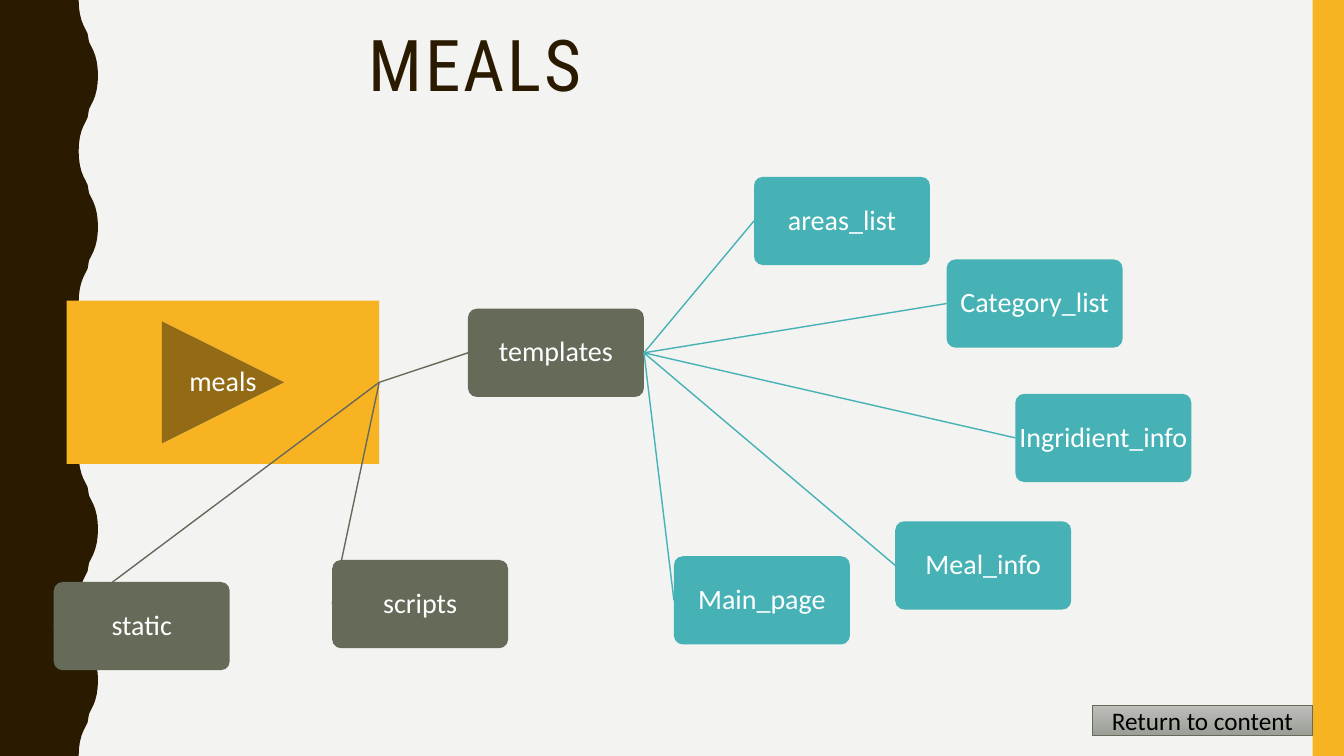
from pptx import Presentation
from pptx.dml.color import RGBColor
from pptx.enum.shapes import MSO_CONNECTOR, MSO_SHAPE
from pptx.enum.text import MSO_ANCHOR, MSO_AUTO_SIZE, PP_ALIGN
from pptx.oxml.ns import qn
from pptx.util import Pt
from lxml.etree import SubElement

BROWN = RGBColor(0x2A, 0x1A, 0x00)
AMBER = RGBColor(0xF8, 0xB3, 0x23)
OLIVE = RGBColor(0x65, 0x6A, 0x59)
TEAL = RGBColor(0x46, 0xB2, 0xB5)
PAPER = RGBColor(0xF3, 0xF3, 0xF2)
SILVER = RGBColor(0xBE, 0xBF, 0xBB)
GREY = RGBColor(0x9B, 0x9E, 0x96)
WHITE = RGBColor(0xFF, 0xFF, 0xFF)
BLACK = RGBColor(0x00, 0x00, 0x00)

WIDTH, HEIGHT = 960, 540
NODE_W, NODE_H = 125.7, 63
WAVE_CURVE = [(0, 0), (0.2, 5), (0.9, 10), (2, 14.4), (3.4, 18), (4.9, 21), (6.4, 24)]
ROOT = ("meals", (47.7, 214.8, 223.2, 116.6))
FOLDERS = [("templates", 334.3, 220.5), ("scripts", 237.3, 400), ("static", 38.4, 415.7)]
PAGES = [("areas_list", 538.6, 126.3), ("Main_page", 481.4, 397.3),
         ("Ingridient_info", 725.3, 281.3), ("Category_list", 676.2, 185.3),
         ("Meal_info", 639.5, 372.4)]


def write(shape, text, *, size=20, font="Calibri", color=WHITE, align=PP_ALIGN.CENTER,
          anchor=MSO_ANCHOR.MIDDLE, inset=(1, 1), line_spacing=0.9, tracking=0):
    """Put one formatted line of text in a shape."""
    frame = shape.text_frame
    frame.auto_size, frame.word_wrap = MSO_AUTO_SIZE.NONE, True
    frame.vertical_anchor = anchor
    frame.margin_left = frame.margin_right = Pt(inset[0])
    frame.margin_top = frame.margin_bottom = Pt(inset[1])
    paragraph = frame.paragraphs[0]
    paragraph.alignment, paragraph.line_spacing = align, line_spacing
    run = paragraph.add_run()
    run.text = text
    run.font.size, run.font.name, run.font.color.rgb = Pt(size), font, color
    if tracking:
        run._r.get_or_add_rPr().set("spc", str(tracking * 100))


def paint(shape, color):
    """Give a shape a flat fill with no outline or shadow."""
    shape.shadow.inherit = False
    shape.fill.solid()
    shape.fill.fore_color.rgb = color
    shape.line.fill.background()


def add_block(slide, kind, box, color):
    """Add a flat preset shape in the given box."""
    block = slide.shapes.add_shape(kind, *map(Pt, box))
    paint(block, color)
    return block


def add_wave(slide, box, wave_count=5):
    """Draw the side band whose right edge repeats one wave."""
    left, top, width, height = box
    depth, period = 13.8, height / wave_count
    rise = WAVE_CURVE + [(depth - x, period / 2 - y) for x, y in reversed(WAVE_CURVE)]
    wave = rise + [(x, period - y) for x, y in reversed(rise)]
    edge = [(left + width - depth + x, top + i * period + y)
            for i in range(wave_count) for x, y in wave]
    outline = slide.shapes.build_freeform(Pt(left), Pt(top), scale=1.0)
    outline.add_line_segments([(Pt(x), Pt(y)) for x, y in edge + [(left, top + height)]])
    paint(outline.convert_to_shape(), BROWN)


def add_title(slide, box, text):
    """Place and format the title placeholder."""
    title = slide.shapes.title
    title.left, title.top, title.width, title.height = map(Pt, box)
    write(title, text, size=51, font="Roboto Condensed", color=BROWN, align=PP_ALIGN.LEFT,
          anchor=MSO_ANCHOR.TOP, inset=(7.2, 3.6), tracking=2)


def add_branch(slide, start, end, color):
    """Draw a thin line between two points."""
    branch = slide.shapes.add_connector(MSO_CONNECTOR.STRAIGHT, *map(Pt, start + end))
    branch.line.color.rgb, branch.line.width = color, Pt(1)
    SubElement(branch._element.spPr, qn("a:effectLst"))


def right_middle(box):
    """Return the middle of a box's right side."""
    left, top, width, height = box
    return left + width, top + height / 2


def add_children(slide, parent_box, children, color):
    """Add child nodes, each joined to the right side of the parent."""
    for label, left, top in children:
        add_branch(slide, right_middle(parent_box), (left, top + NODE_H / 2), color)
        node = add_block(slide, MSO_SHAPE.ROUNDED_RECTANGLE, (left, top, NODE_W, NODE_H), color)
        node.adjustments[0] = 0.1
        write(node, label)


def add_tree(slide):
    """Draw the folder tree from root to pages."""
    label, root_box = ROOT
    root = add_block(slide, MSO_SHAPE.ACTION_BUTTON_FORWARD_OR_NEXT, root_box, AMBER)
    write(root, label)
    templates_box = (*FOLDERS[0][1:], NODE_W, NODE_H)
    add_children(slide, root_box, FOLDERS[:1], OLIVE)
    add_children(slide, templates_box, PAGES, TEAL)
    add_children(slide, root_box, FOLDERS[1:], OLIVE)


def add_return_button(slide, box):
    """Add the shaded button leading back to the contents."""
    button = add_block(slide, MSO_SHAPE.RECTANGLE, box, GREY)
    button.fill.gradient()
    button.fill.gradient_angle = 270
    for stop, color in zip(button.fill.gradient_stops, (SILVER, GREY)):
        stop.color.rgb = color
    button.line.color.rgb, button.line.width = OLIVE, Pt(0.5)
    write(button, "Return to content", size=18, color=BLACK, inset=(7.2, 3.6), line_spacing=1.0)


def main():
    """Build and save the slide."""
    deck = Presentation()
    deck.slide_width, deck.slide_height = Pt(WIDTH), Pt(HEIGHT)
    slide = deck.slides.add_slide(deck.slide_layouts[5])
    slide.background.fill.solid()
    slide.background.fill.fore_color.rgb = PAPER
    add_wave(slide, (0, 0, 70, HEIGHT))
    add_block(slide, MSO_SHAPE.RECTANGLE, (937.6, 0, 22.4, HEIGHT), AMBER)
    add_title(slide, (256.3, 18, 171.4, 85.7), "MEALS")
    add_tree(slide)
    add_return_button(slide, (780.2, 503.6, 157.3, 21.8))
    deck.save("out.pptx")


if __name__ == "__main__":
    main()
